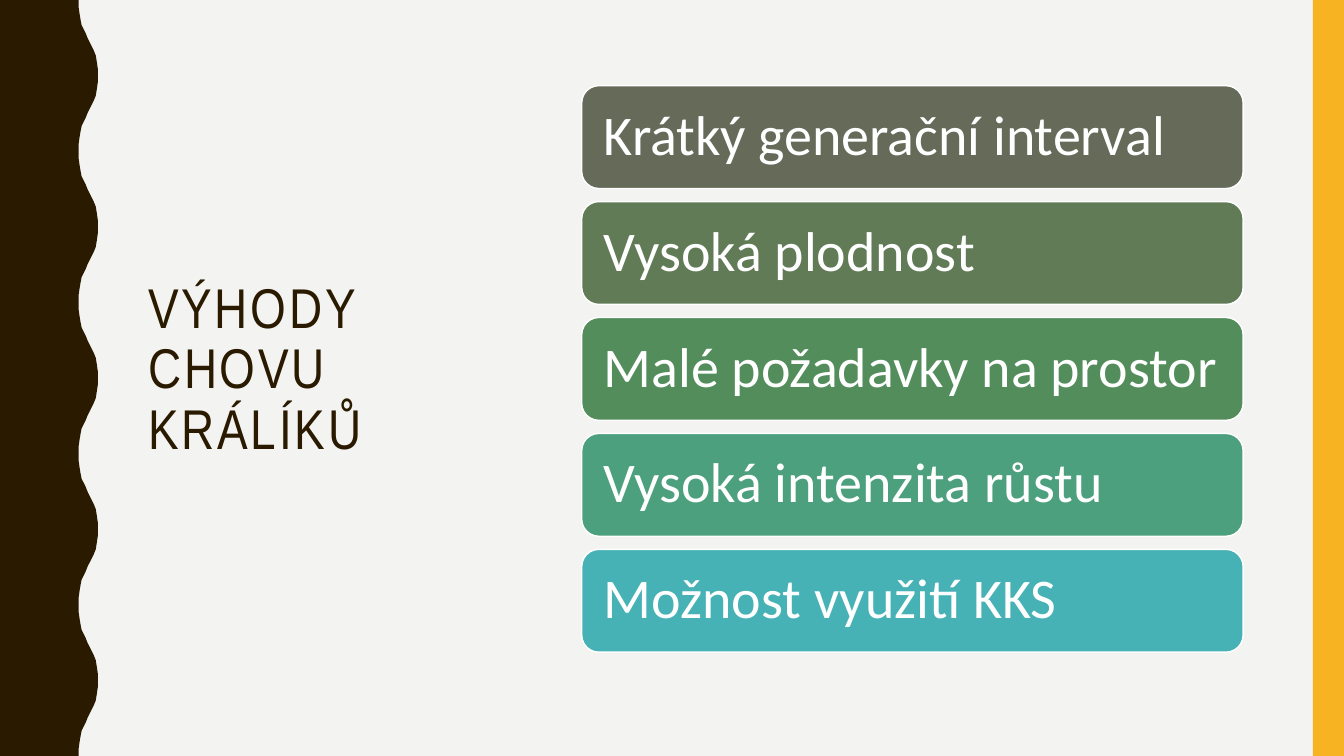
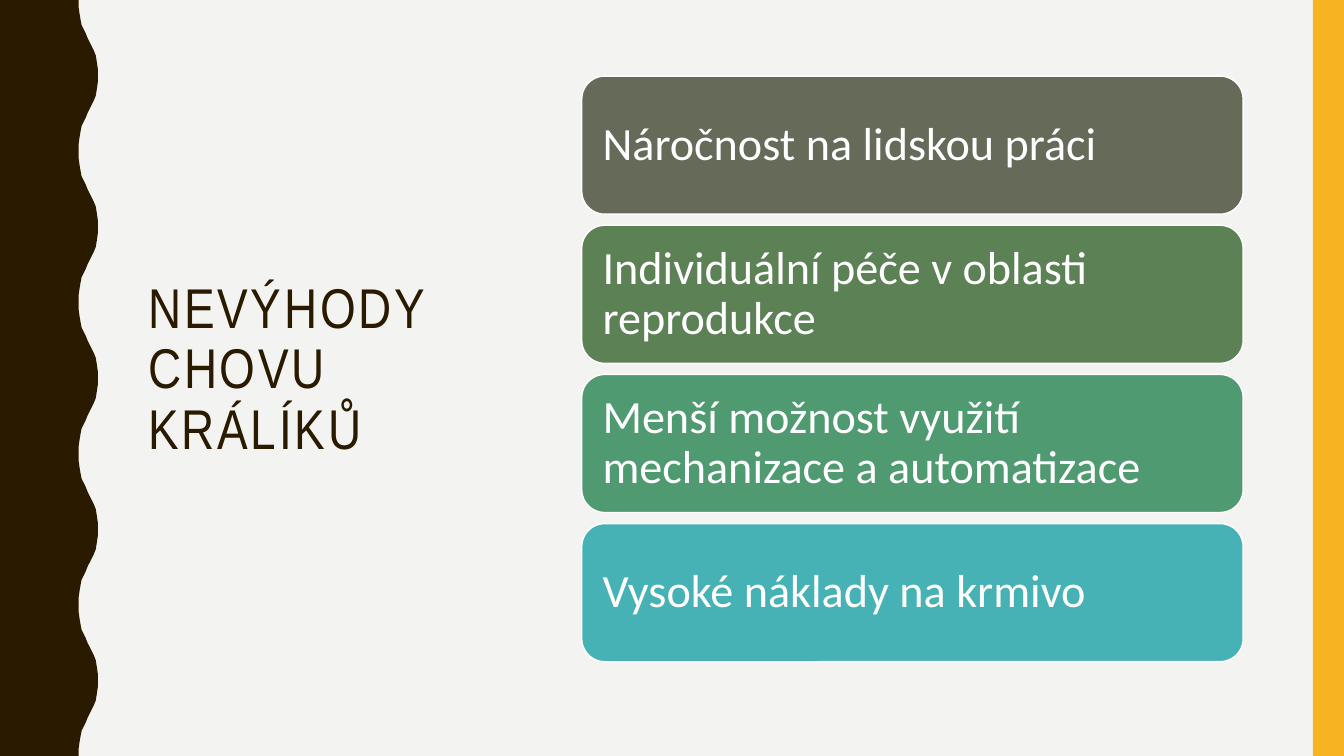
import pptx
import pptx.util
import pptx.dml.color
import pptx.enum.shapes
import pptx.enum.text

Inches = pptx.util.Inches
Pt = pptx.util.Pt

# Content
SLIDES = [
    {
        "title": "VÝHODY CHOVU KRÁLÍKŮ",
        "size": 40, "height": 1.02, "gap": 0.13, "inset": 0.17,
        "cards": [
            ("Krátký generační interval", "656A59"),
            ("Vysoká plodnost", "607B56"),
            ("Malé požadavky na prostor", "528D5B"),
            ("Vysoká intenzita růstu", "4DA07E"),
            ("Možnost využití KKS", "46B2B5"),
        ],
    },
    {
        "title": "NEVÝHODY CHOVU KRÁLÍKŮ",
        "size": 33, "height": 1.37, "gap": 0.11, "inset": 0.14,
        "cards": [
            ("Náročnost na lidskou práci", "656A59"),
            ("Individuální péče v oblasti reprodukce", "5B8155"),
            ("Menší možnost využití mechanizace a automatizace", "4F9A70"),
            ("Vysoké náklady na krmivo", "46B2B5"),
        ],
    },
]

# Theme and geometry, in inches and points
THEME = {
    "background": "F3F3F2", "dark": "2A1A00", "accent": "F8B323", "light": "FFFFFF",
    "title_font": "Arial Narrow", "body_font": "Calibri",
    "title_size": 40, "title_spacing": 2, "line_spacing": 0.9,
}
WIDTH, HEIGHT = 13.33, 7.5
BAND_WIDTH = 0.31
TITLE_BOX = (1.37, 0.71, 3.7, 5.93)
CARD_LEFT, CARD_WIDTH, CARDS_MIDDLE = 5.77, 6.56, 3.66

# Wave edge: half a period from trough to crest, as (x, y)
WAVES = 5
PERIOD = HEIGHT / WAVES
HALF_WAVE = [
    (0.78, 0), (0.78, 0.07), (0.79, 0.14), (0.8, 0.2), (0.81, 0.25),
    (0.83, 0.29), (0.85, 0.33), (0.87, 0.38), (0.89, 0.42), (0.91, 0.46),
    (0.93, 0.5), (0.95, 0.55), (0.96, 0.61), (0.97, 0.68), (0.97, 0.75),
]


def color(name):
    return pptx.dml.color.RGBColor.from_string(THEME.get(name, name))


def paint(shape, fill, line=None):
    shape.shadow.inherit = False
    shape.fill.solid()
    shape.fill.fore_color.rgb = color(fill)
    if line:
        shape.line.color.rgb = color(line)
        shape.line.width = Pt(1)
    else:
        shape.line.fill.background()


def write(frame, text, font, size, ink):
    frame.word_wrap = True
    frame.auto_size = pptx.enum.text.MSO_AUTO_SIZE.NONE
    frame.vertical_anchor = pptx.enum.text.MSO_ANCHOR.MIDDLE
    para = frame.paragraphs[0]
    para.alignment = pptx.enum.text.PP_ALIGN.LEFT
    para.line_spacing = THEME["line_spacing"]
    span = para.add_run()
    span.text = text
    span.font.name = font
    span.font.size = Pt(size)
    span.font.color.rgb = color(ink)
    return span


def add_wave(page):
    period = HALF_WAVE + [(x, PERIOD - y) for x, y in HALF_WAVE[-2::-1]]
    edge = [(x, y + PERIOD * i) for i in range(WAVES) for x, y in period]
    outline = [(Inches(x), Inches(y)) for x, y in edge + [(0, HEIGHT)]]
    builder = page.shapes.build_freeform(0, 0)
    builder.add_line_segments(outline, close=True)
    wave = builder.convert_to_shape()
    paint(wave, "dark")
    return wave


def add_band(page):
    band = page.shapes.add_shape(
        pptx.enum.shapes.MSO_SHAPE.RECTANGLE,
        Inches(WIDTH - BAND_WIDTH), 0, Inches(BAND_WIDTH), Inches(HEIGHT))
    paint(band, "accent")
    return band


def add_title(page, text):
    title = page.shapes.title
    title.left, title.top, title.width, title.height = map(Inches, TITLE_BOX)
    span = write(title.text_frame, text, THEME["title_font"], THEME["title_size"], "dark")
    span.font.element.set("spc", str(THEME["title_spacing"] * 100)) if hasattr(
        span.font, "element") else span.font._element.set(
        "spc", str(THEME["title_spacing"] * 100))


def add_cards(page, content):
    cards, height, gap = content["cards"], content["height"], content["gap"]
    top = CARDS_MIDDLE - (len(cards) * (height + gap) - gap) / 2
    for row, (text, fill) in enumerate(cards):
        card = page.shapes.add_shape(
            pptx.enum.shapes.MSO_SHAPE.ROUNDED_RECTANGLE,
            Inches(CARD_LEFT), Inches(top + row * (height + gap)),
            Inches(CARD_WIDTH), Inches(height))
        paint(card, fill, "light")
        frame = card.text_frame
        frame.margin_left = frame.margin_right = Inches(content["inset"])
        frame.margin_top = frame.margin_bottom = Inches(content["inset"])
        write(frame, text, THEME["body_font"], content["size"], "light")


def main():
    deck = pptx.Presentation()
    deck.slide_width, deck.slide_height = Inches(WIDTH), Inches(HEIGHT)
    layout = deck.slide_layouts.get_by_name("Title Only")

    # Shared background
    background = deck.slide_master.background.fill
    background.solid()
    background.fore_color.rgb = color("background")

    pages = [deck.slides.add_slide(layout) for _ in SLIDES]

    # Shared wave and band, drawn once and moved into the layout
    for part in (add_wave(pages[0]), add_band(pages[0])):
        layout.shapes.element.append(part.element)

    for page, content in zip(pages, SLIDES):
        add_title(page, content["title"])
        add_cards(page, content)

    deck.save("out.pptx")


if __name__ == "__main__":
    main()
